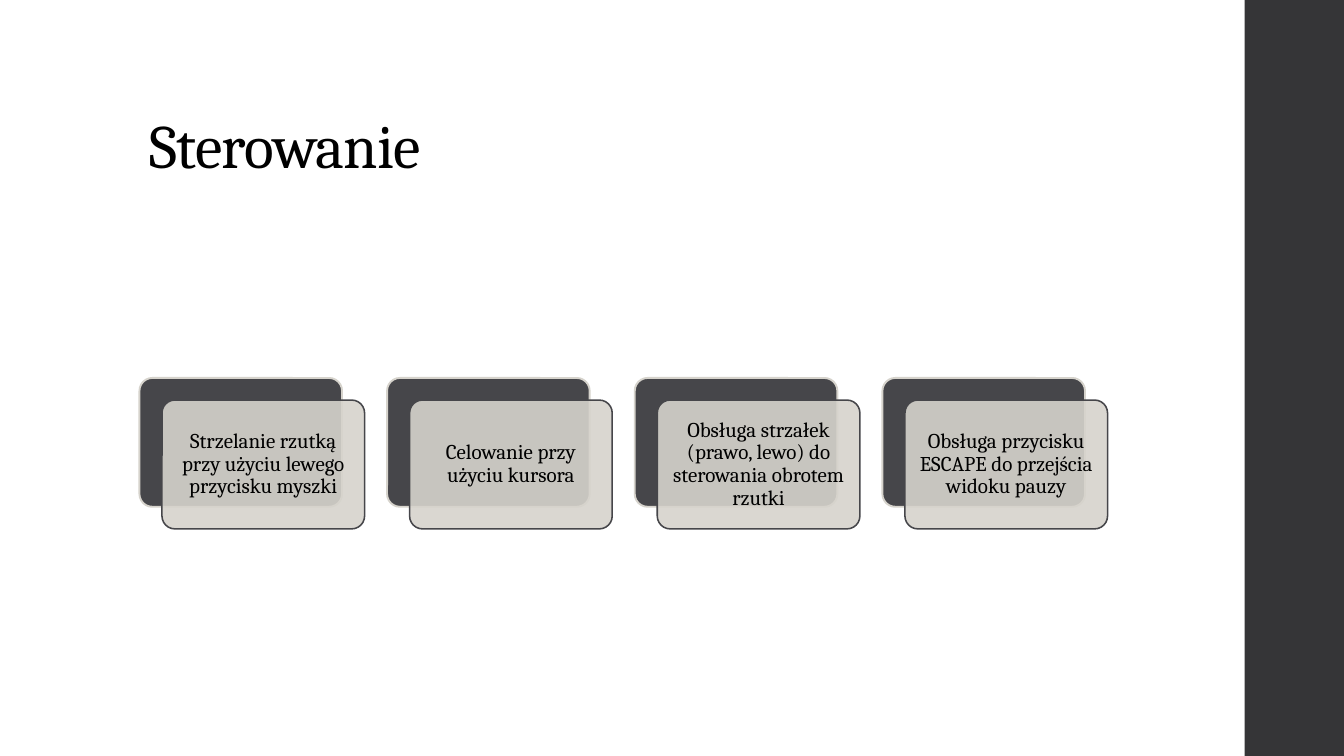
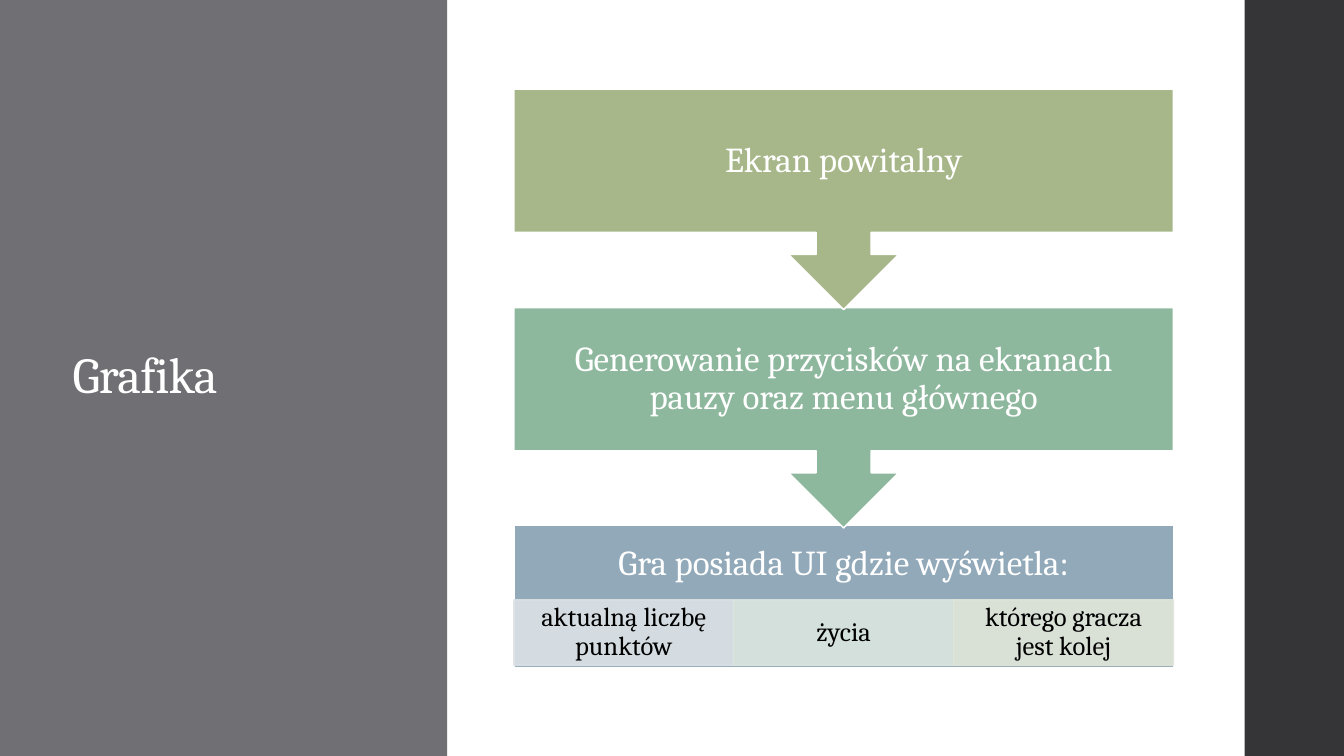
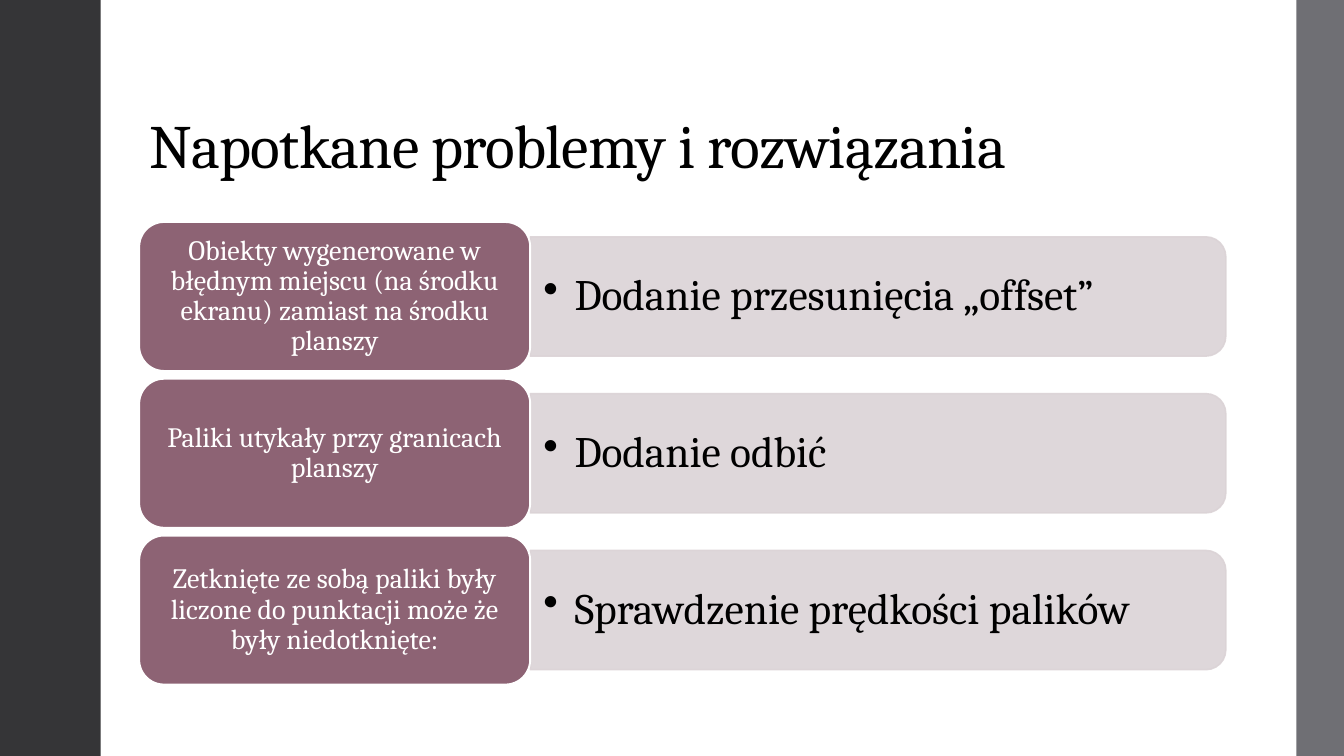
from lxml import etree
from pptx import Presentation
from pptx.dml.color import RGBColor
from pptx.enum.shapes import MSO_SHAPE
from pptx.enum.text import MSO_ANCHOR, MSO_AUTO_SIZE, PP_ALIGN
from pptx.oxml.ns import qn
from pptx.util import Pt

RECT = MSO_SHAPE.RECTANGLE
ROUND = MSO_SHAPE.ROUNDED_RECTANGLE
TAB = MSO_SHAPE.ROUND_2_SAME_RECTANGLE
CALL = MSO_SHAPE.DOWN_ARROW_CALLOUT
MID, LOW = MSO_ANCHOR.MIDDLE, MSO_ANCHOR.BOTTOM
LEFT, MIDDLE = PP_ALIGN.LEFT, PP_ALIGN.CENTER

FONT = "Cambria"
BLACK = RGBColor(0x00, 0x00, 0x00)
WHITE = RGBColor(0xFF, 0xFF, 0xFF)
DARK = RGBColor(0x35, 0x35, 0x37)
GREY = RGBColor(0x6F, 0x6F, 0x74)
COAL = RGBColor(0x46, 0x46, 0x4A)
SAND = RGBColor(0xD6, 0xD3, 0xCC)
OLIVE = RGBColor(0xA7, 0xB7, 0x89)
GREEN = RGBColor(0x8E, 0xB8, 0x9E)
BLUE = RGBColor(0x92, 0xA9, 0xB9)
ICE = RGBColor(0xDC, 0xE2, 0xE6)
MINT = RGBColor(0xDB, 0xE6, 0xDF)
LIME = RGBColor(0xE1, 0xE6, 0xDA)
PLUM = RGBColor(0x8D, 0x63, 0x74)
ROSE = RGBColor(0xDB, 0xD3, 0xD6)

BAND = ((889, 71), DARK)

deck = Presentation()
deck.slide_width, deck.slide_height = Pt(960), Pt(540)


def box(slide, kind, place, fill, line=None, width=1.1, clear=False,
        text="", size=20, ink=WHITE, pad=(0, 0)):
    """Add a shape, or a text box if kind is None, with centred text."""
    place = [Pt(n) for n in place]
    if kind is None:
        shape = slide.shapes.add_textbox(*place)
    else:
        shape = slide.shapes.add_shape(kind, *place)
        shape.shadow.inherit = False
        shape.fill.solid()
        shape.fill.fore_color.rgb = fill
        if line is None:
            shape.line.fill.background()
        else:
            shape.line.color.rgb = line
            shape.line.width = Pt(width)
    if clear:  # 90 % opaque wherever the fill colour is used
        for tint in shape.element.spPr.iter(qn("a:srgbClr")):
            if tint.get("val") == str(fill):
                etree.SubElement(tint, qn("a:alpha")).set("val", "90000")
    if text:
        frame = shape.text_frame
        frame.word_wrap = True
        frame.vertical_anchor = MID
        frame.margin_left = frame.margin_right = Pt(pad[0])
        frame.margin_top = frame.margin_bottom = Pt(pad[1])
        par = frame.paragraphs[0]
        par.text = text
        par.alignment = MIDDLE
        par.line_spacing = 0.9
        par.font.name, par.font.size = FONT, Pt(size)
        par.font.color.rgb = ink
    return shape


def start(text, place, bands, size=44, ink=BLACK, anchor=LOW):
    """Add a slide with full-height bands and a styled title above them."""
    slide = deck.slides.add_slide(deck.slide_layouts[5])
    for (left, wide), fill in bands:
        box(slide, RECT, (left, 0, wide, 540), fill)
    title = slide.shapes.title
    title.element.getparent().append(title.element)
    title.left, title.top, title.width, title.height = [Pt(n) for n in place]
    frame = title.text_frame
    frame.word_wrap = True
    frame.auto_size = MSO_AUTO_SIZE.NONE
    frame.vertical_anchor = anchor
    par = frame.paragraphs[0]
    par.text = text
    par.alignment = LEFT
    par.line_spacing = 0.9
    par.font.name, par.font.size = FONT, Pt(size)
    par.font.color.rgb = ink
    for props in title.element.iter(qn("a:defRPr")):
        props.set("spc", "-50")
    return slide


# Slide 1: four cards, each on an offset backing
slide = start("Sterowanie", (99.4, 28.8, 763, 104.4), [BAND])
cards = ["Strzelanie rzutką przy użyciu lewego przycisku myszki",
         "Celowanie przy użyciu kursora",
         "Obsługa strzałek (prawo, lewo) do sterowania obrotem rzutki",
         "Obsługa przycisku ESCAPE do przejścia widoku pauzy"]
for i, text in enumerate(cards):
    left = 99.6 + 176.9 * i
    back = box(slide, ROUND, (left, 270, 144.7, 92), COAL, SAND, 1.35)
    card = box(slide, ROUND, (left + 16.1, 285.8, 144.7, 92), SAND, COAL,
               clear=True, text=text, size=15, ink=BLACK, pad=(4.3, 4.3))
    back.adjustments[0] = card.adjustments[0] = 0.1

# Slide 2: steps downwards, the last one split in three
slide = start("Grafika", (44.6, 65.5, 213.8, 408.2),
              [((0, 319.5), GREY), BAND], 36, WHITE, MID)
left, wide = 367, 471.2
last = box(slide, RECT, (left, 375.4, wide, 101.8), BLUE, WHITE,
           text="Gra posiada UI gdzie wyświetla:", size=25, pad=(13.7, 13.7))
last.text_frame.margin_bottom = Pt(60.3)
parts = [("aktualną liczbę punktów", ICE), ("życia", MINT),
         ("którego gracza jest kolej", LIME)]
for i, (text, fill) in enumerate(parts):
    box(slide, RECT, (left + wide / 3 * i, 428.4, wide / 3, 46.8), fill, fill,
        clear=True, text=text, size=19, ink=BLACK, pad=(10.8, 2.2))
steps = [("Generowanie przycisków na ekranach pauzy oraz menu głównego",
          219.7, GREEN), ("Ekran powitalny", 63.7, OLIVE)]
for text, top, fill in steps:
    box(slide, CALL, (left, top, wide, 157.4), fill, WHITE,
        text=text, size=25, pad=(13.7, 13.7))

# Slide 3: problems on the left, solutions on the right
slide = start("Napotkane problemy i rozwiązania", (99.4, 28.8, 776, 104.4),
              [((0, 72), DARK), ((926, 34), GREY)])
rows = [("Obiekty wygenerowane w błędnym miejscu (na środku ekranu) "
         "zamiast na środku planszy", "Dodanie przesunięcia „offset”"),
        ("Paliki utykały przy granicach planszy", "Dodanie odbić"),
        ("Zetknięte ze sobą paliki były liczone do punktacji może że były "
         "niedotknięte:", "Sprawdzenie prędkości palików")]
for i, (flaw, fix) in enumerate(rows):
    top = 158.6 + 112 * i
    mid = top + 53.2
    # The bar is a tall tab turned on its side
    bar = box(slide, TAB, (627.2 - 42.6, mid - 248.4, 85.2, 496.8),
              ROSE, ROSE, clear=True)
    bar.rotation = 90
    note = box(slide, None, (378.7, mid - 38.5, 492.5, 77), None,
               text=fix, size=31, ink=BLACK, pad=(9.4, 4.3))
    par = note.text_frame.paragraphs[0]
    par.alignment = LEFT
    props = par._p.get_or_add_pPr()
    props.set("marL", str(Pt(22.3)))
    props.set("indent", str(-Pt(22.3)))
    dot = etree.Element(qn("a:buChar"), char="•")
    props.find(qn("a:defRPr")).addprevious(dot)
    box(slide, ROUND, (99.4, top, 279.3, 106.4), PLUM, WHITE, 1.35,
        text=flaw, size=20, pad=(5.8, 2.9))

deck.save("out.pptx")
